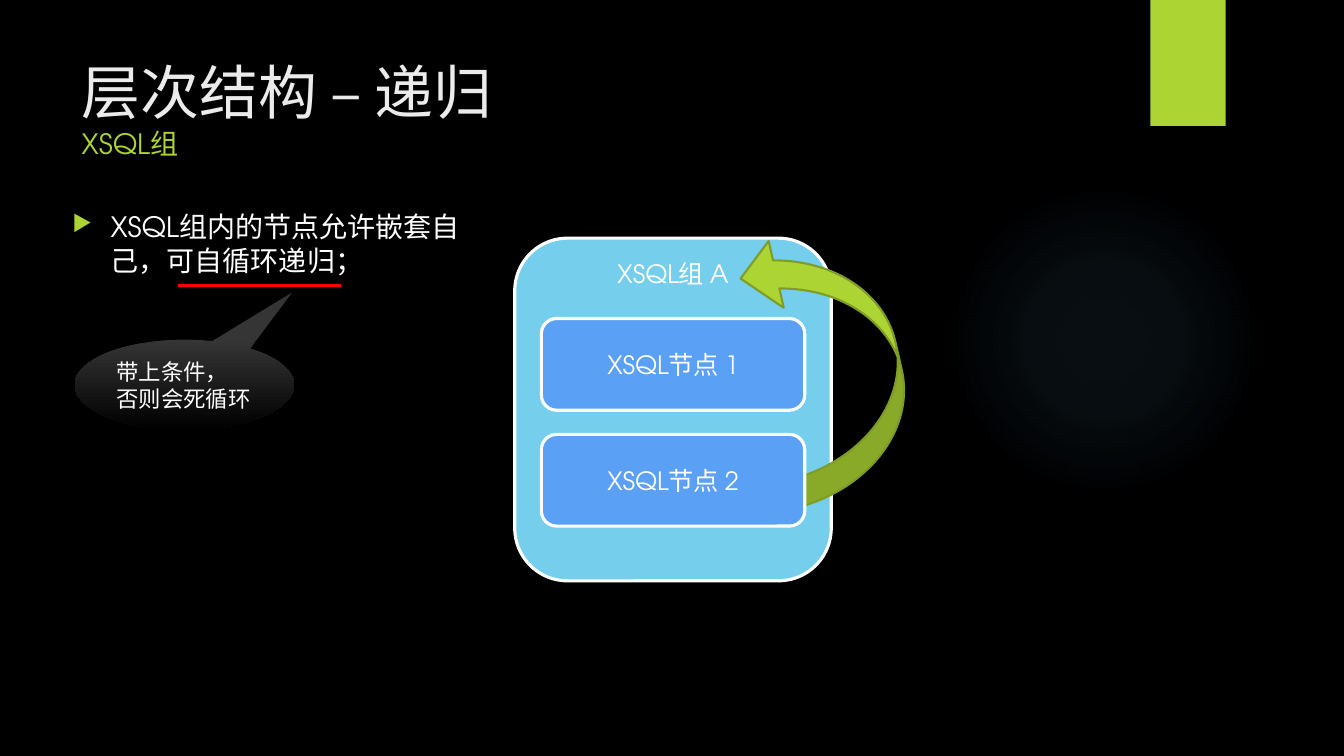
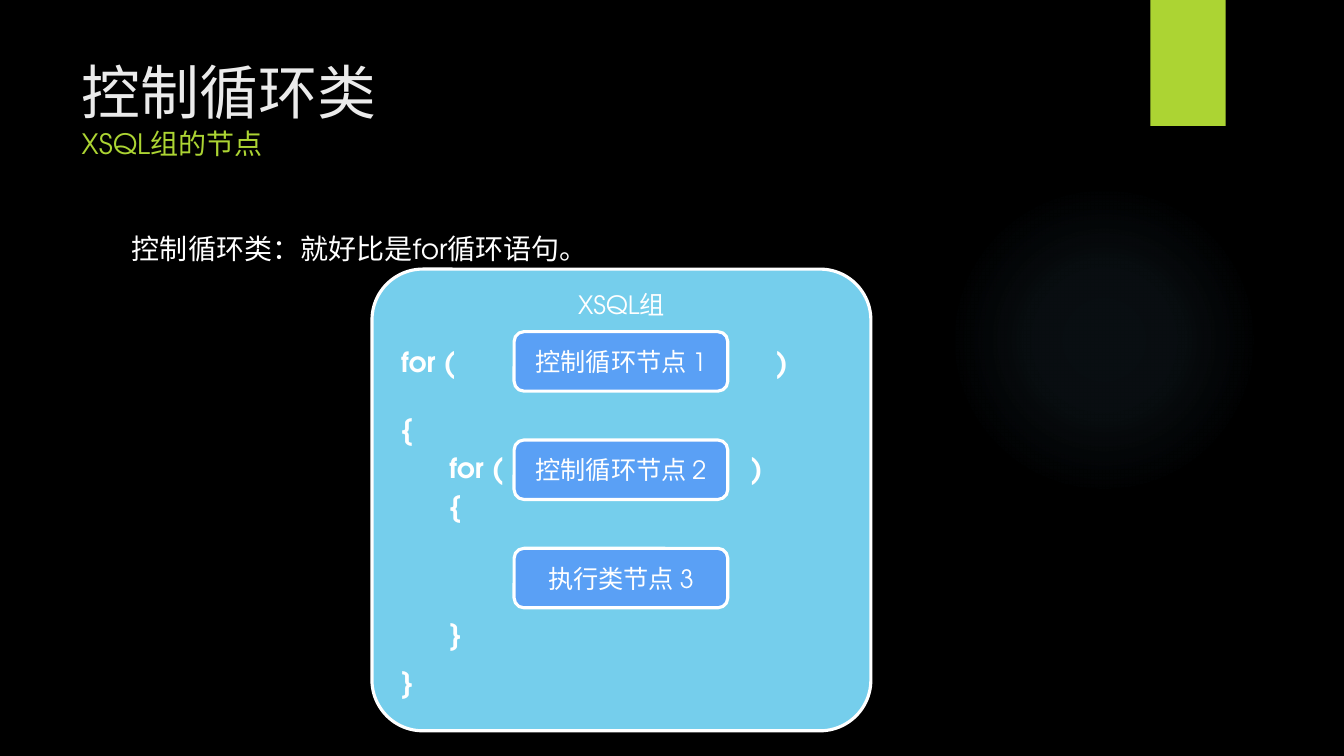
from lxml import etree
from pptx import Presentation
from pptx import util as u
from pptx.dml.color import RGBColor
from pptx.enum import shapes, text
from pptx.oxml import parse_xml
from pptx.oxml.ns import nsdecls, qn

BLACK, WHITE, GREEN, RED = "000000", "FFFFFF", "ACD433", "FF0000"
DARK_GREEN, GREY, PALE = "7F9D26", "353535", "EBEBEB"
GROUP_BLUE, NODE_BLUE, GLOW_BLUE = "75CEEC", "5AA0F5", "7AC4F0"
FONT = "TeX Gyre Adventor"
GLOW_STOPS = [(0, 7), (36, 6), (69, 0), (100, 0)]

colour = RGBColor.from_string
kinds = shapes.MSO_SHAPE
aligns = text.PP_ALIGN
anchors = text.MSO_ANCHOR

presentation = Presentation()
presentation.slide_width = u.Inches(13.33)
presentation.slide_height = u.Inches(7.5)
# One hundredth of the slide across and down
COLUMN = presentation.slide_width / 100
ROW = presentation.slide_height / 100

background = presentation.slide_master.background.fill
background.solid()
background.fore_color.rgb = colour(BLACK)


def draw(slide, box, lines=(), kind=None, fill=None, line=None, width=2.25,
         size=20, bold=False, align=aligns.LEFT, anchor=anchors.TOP, wrap=True):
    """Add a preset shape, or a text box if kind is None; box is in columns and rows."""
    left, top, across, down = box
    place = [int(left * COLUMN), int(top * ROW), int(across * COLUMN), int(down * ROW)]
    if kind is None:
        shape = slide.shapes.add_textbox(*place)
    else:
        shape = slide.shapes.add_shape(kind, *place)
        shape.shadow.inherit = False
        if fill:
            shape.fill.solid()
            shape.fill.fore_color.rgb = colour(fill)
        if line:
            shape.line.color.rgb = colour(line)
            shape.line.width = u.Pt(width)
        else:
            shape.line.fill.background()
    frame = shape.text_frame
    frame.word_wrap = wrap
    frame.vertical_anchor = anchor
    for number, words in enumerate(lines):
        paragraph = frame.add_paragraph() if number else frame.paragraphs[0]
        paragraph.alignment = align
        run = paragraph.add_run()
        run.text = words
        formats = {"name": FONT, "size": u.Pt(size), "bold": bold}
        for name, value in formats.items():
            setattr(run.font, name, value)
        run.font.color.rgb = colour(WHITE)
    return shape


group_style = dict(kind=kinds.ROUNDED_RECTANGLE, fill=GROUP_BLUE, line=WHITE,
                   size=18, align=aligns.CENTER)
node_style = dict(group_style, fill=NODE_BLUE, anchor=anchors.MIDDLE)

# Shared frame: glow, corner band and two-line title
slides = []
for heading, subheading in [("层次结构 – 递归", "XSQL组"),
                            ("控制循环类", "XSQL组的节点")]:
    slide = presentation.slides.add_slide(presentation.slide_layouts[5])
    slides.append(slide)

    glow = draw(slide, (70.58, 24.4, 23.1, 41.07), kind=kinds.OVAL)
    glow.fill.background()
    stops = "".join(
        f'<a:gs pos="{position * 1000}"><a:srgbClr val="{GLOW_BLUE}">'
        f'<a:alpha val="{alpha * 1000}"/></a:srgbClr></a:gs>'
        for position, alpha in GLOW_STOPS)
    properties = glow._element.spPr
    properties.replace(properties.find(qn("a:noFill")), parse_xml(
        f'<a:gradFill {nsdecls("a")}><a:gsLst>{stops}</a:gsLst><a:path path="circle">'
        '<a:fillToRect l="50000" t="50000" r="50000" b="50000"/></a:path></a:gradFill>'))

    draw(slide, (85.6, 0, 5.6, 16.67), kind=kinds.RECTANGLE, fill=GREEN)

    title = slide.shapes.title
    title.left, title.top = int(5.33 * COLUMN), int(6.67 * ROW)
    title.width, title.height = int(77.2 * COLUMN), int(20.4 * ROW)
    title.text_frame.auto_size = text.MSO_AUTO_SIZE.NONE
    title.text_frame.vertical_anchor = anchors.TOP
    paragraph = title.text_frame.paragraphs[0]
    paragraph.alignment = aligns.LEFT
    for words, size, shade in [(heading, 42, PALE), (subheading, 20, GREEN)]:
        if paragraph.runs:
            paragraph.add_line_break()
        run = paragraph.add_run()
        run.text = words
        run.font.name, run.font.size = FONT, u.Pt(size)
        run.font.color.rgb = colour(shade)

recursion, loops = slides

# Slide 1: a group that calls itself
draw(recursion, (38.3, 31.5, 23.55, 45.33), ["XSQL组 A"], **group_style)
node_boxes = [(40.28, 42.13 + 15.33 * number, 19.6, 12.13) for number in range(2)]
draw(recursion, node_boxes[0], ["XSQL节点 1"], **node_style)

body = draw(recursion, (4.65, 27.07, 31.65, 61.2),
            ["XSQL组内的节点允许嵌套自己，可自循环递归；"])
bullet = body.text_frame.paragraphs[0]._p.get_or_add_pPr()
bullet.set("marL", str(u.Inches(0.38)))
bullet.set("indent", str(-u.Inches(0.38)))
shade = etree.SubElement(bullet, qn("a:buClr"))
etree.SubElement(shade, qn("a:srgbClr"), val=GREEN)
etree.SubElement(bullet, qn("a:buSzPct"), val="80000")
etree.SubElement(bullet, qn("a:buChar"), char="▶")

callout = draw(recursion, (5.55, 44.93, 16.35, 12), ["带上条件，", "否则会死循环"],
               kind=kinds.OVAL_CALLOUT, size=16, anchor=anchors.MIDDLE)
callout.adjustments[0], callout.adjustments[1] = 0.49, -1.02
callout.fill.gradient()
callout.fill.gradient_angle = 270
for stop, position, shade in zip(callout.fill.gradient_stops, (0, 1), (GREY, BLACK)):
    stop.position = position
    stop.color.rgb = colour(shade)

underline = recursion.shapes.add_connector(
    shapes.MSO_CONNECTOR.STRAIGHT, int(13.28 * COLUMN), int(37.73 * ROW),
    int(25.35 * COLUMN), int(37.73 * ROW))
underline.line.color.rgb = colour(RED)
underline.line.width = u.Pt(2.25)
etree.SubElement(underline._element.spPr, qn("a:effectLst"))

arrow = draw(recursion, (56.63, 30, 10.2, 35.73), kind=kinds.CURVED_LEFT_ARROW,
             fill=GREEN, line=DARK_GREEN, width=1.5)
for index, value in enumerate((0.21, 0.5, 0.26)):
    arrow.adjustments[index] = value
arrow.rotation = 347.3
arrow._element.spPr.find(qn("a:xfrm")).set("flipV", "1")

draw(recursion, node_boxes[1], ["XSQL节点 2"], **node_style)

# Slide 2: nested loops
draw(loops, (9.08, 30, 73.35, 61.2), ["控制循环类：就好比是for循环语句。"])
loop_group = draw(loops, (27.68, 35.6, 37.12, 61.07), ["XSQL组"], **group_style)
loop_group.adjustments[0] = 0.11
for number, label in enumerate(["控制循环节点 1", "控制循环节点 2", "执行类节点 3"]):
    draw(loops, (38.25, 43.87 + 14.33 * number, 15.9, 7.87), [label], **node_style)

# Each loop: left edge, closing bracket, then the rows of head and braces
for left, close, head, opening, closing in [(29.1, 57, 44.93, 53.73, 87.2),
                                            (32.7, 55.13, 58.93, 64, 80.93)]:
    for symbol, x, y, across in [("for (", left, head, 5.55), (")", close, head, 2.3),
                                 ("{", left, opening, 2.25), ("}", left, closing, 2.25)]:
        draw(loops, (x, y, across, 5.87), [symbol], bold=True, wrap=False)

presentation.save("out.pptx")
